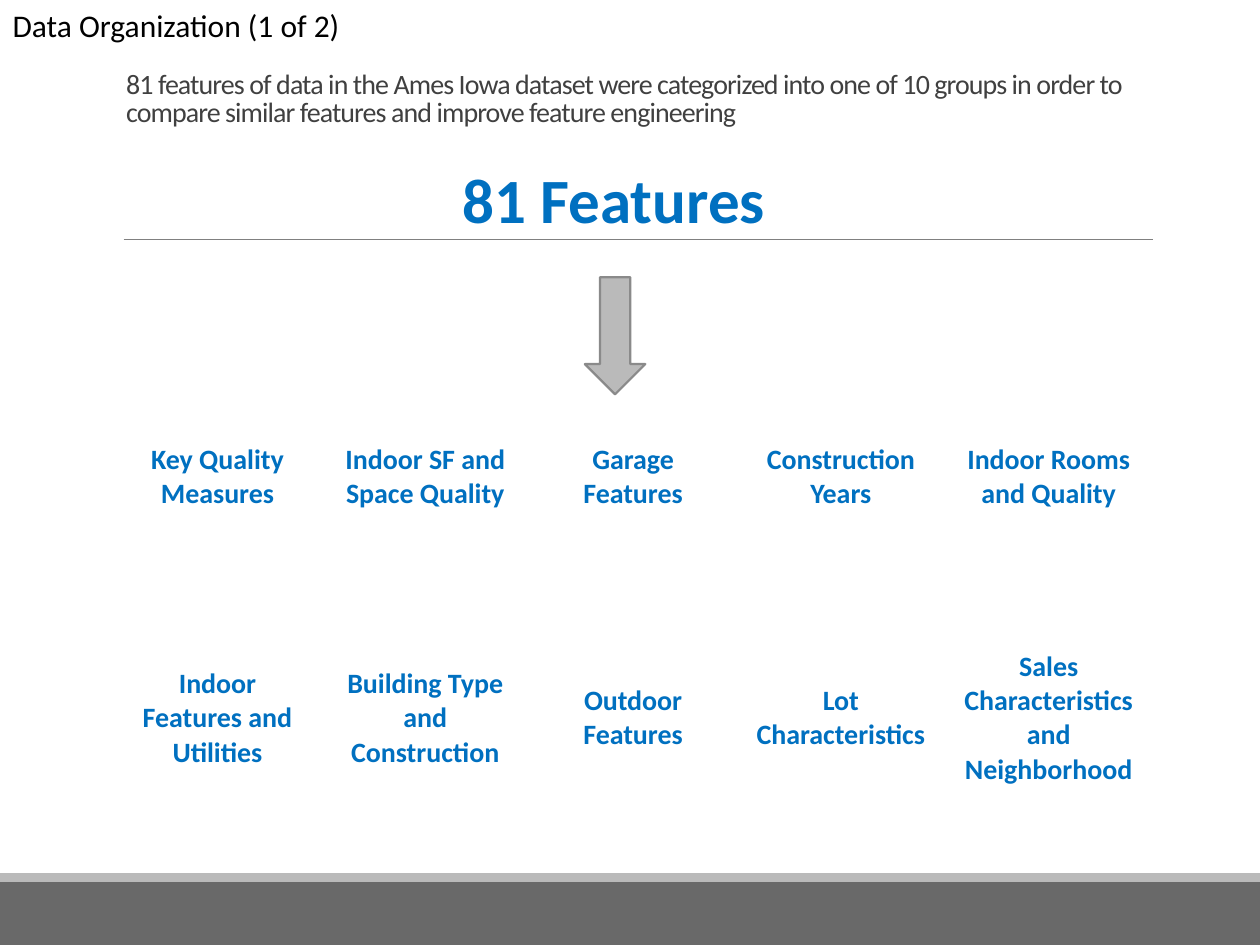
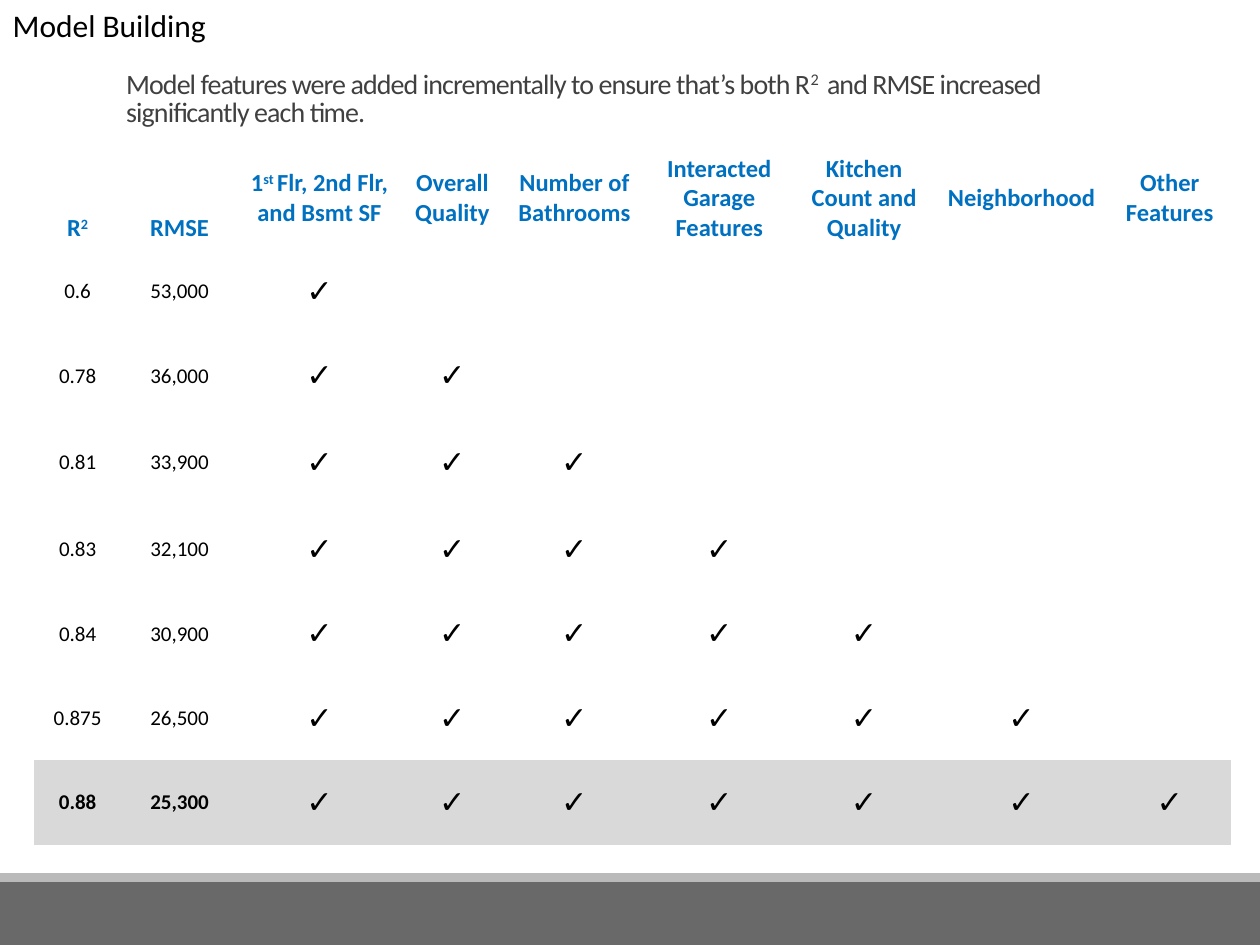
from dataclasses import dataclass

from lxml import etree
from pptx import Presentation, util as u
from pptx.dml.color import RGBColor
from pptx.enum import shapes, text
from pptx.oxml.ns import qn


@dataclass(frozen=True)
class Theme:
    font: str = "Calibri"
    black: str = "000000"
    body: str = "404040"
    accent: str = "0070C0"
    white: str = "FFFFFF"
    highlight: str = "D9D9D9"
    band: str = "696969"
    strip: str = "BABABA"
    arrow_line: str = "8A8A8A"
    rule: str = "808080"
    hero_size: int = 36
    title_size: int = 18
    body_size: int = 16
    header_size: int = 14
    value_size: int = 12
    no_grid_style: str = "{2D5ABB26-0587-4C30-8999-92F81FD0307C}"


@dataclass(frozen=True)
class Box:
    left: float
    top: float
    width: float
    height: float

    def lengths(self):
        return [u.Cm(value) for value in (self.left, self.top, self.width, self.height)]


THEME = Theme()
PAGE = Box(0, 0, 25.4, 19.05)
TITLE = Box(0, 0, 25.4, 1.02)
SUMMARY = Box(2.29, 1.35, 20.95, 1.32)
FOOTER = Box(0, 17.6, 25.4, 1.45)
FEATURE_FLOW = Box(2.29, 3.12, 20.95, 12.82)
MODEL_TABLE = Box(0.69, 2.97, 24.12, 14.06)

FEATURE_GROUPS = [
    ["Key Quality Measures", "Indoor SF and Space Quality", "Garage Features",
     "Construction Years", "Indoor Rooms and Quality"],
    [""] * 5,
    ["Indoor Features and Utilities", "Building Type and Construction", "Outdoor Features",
     "Lot Characteristics", "Sales Characteristics and Neighborhood"],
]
MODEL_HEADERS = [
    "R^2", "RMSE", "1^st ^Flr, 2nd Flr,\nand Bsmt SF", "Overall Quality",
    "Number of Bathrooms", "Interacted Garage Features", "Kitchen Count and Quality",
    "Neighborhood", "Other Features",
]
MODEL_SCORES = [
    ("0.6", "53,000"), ("0.78", "36,000"), ("0.81", "33,900"), ("0.83", "32,100"),
    ("0.84", "30,900"), ("0.875", "26,500"), ("0.88", "25,300"),
]


def color(value):
    return RGBColor.from_string(value)


def write(frame, content, size, ink, bold=False, align=text.PP_ALIGN.LEFT):
    for index, line in enumerate(content.split("\n")):
        paragraph = frame.add_paragraph() if index else frame.paragraphs[0]
        paragraph.alignment = align
        paragraph.font.name = THEME.font
        paragraph.font.size = u.Pt(size)
        paragraph.font.bold = bold
        paragraph.font.color.rgb = color(ink)
        for position, piece in enumerate(line.split("^")):
            run = paragraph.add_run()
            run.text = piece
            if position % 2:
                run._r.get_or_add_rPr().set("baseline", "30000")


def place(shape, box):
    shape.left, shape.top, shape.width, shape.height = box.lengths()


def add_filled_shape(slide, kind, box, fill, line=None):
    shape = slide.shapes.add_shape(kind, *box.lengths())
    shape.shadow.inherit = False
    shape.fill.solid()
    shape.fill.fore_color.rgb = color(fill)
    if line:
        shape.line.color.rgb = color(line)
        shape.line.width = u.Pt(1.25)
    else:
        shape.line.fill.background()
    return shape


def add_rule(slide, left, right, top):
    rule = slide.shapes.add_connector(
        shapes.MSO_CONNECTOR.STRAIGHT, u.Cm(left), u.Cm(top), u.Cm(right), u.Cm(top))
    rule.line.color.rgb = color(THEME.rule)
    rule.line.width = u.Pt(0.5)
    etree.SubElement(rule._element.spPr, qn("a:effectLst"))
    return rule


def add_footer(slide, box):
    strip_height = 0.18
    strip = Box(box.left, box.top, box.width, strip_height)
    band = Box(box.left, box.top + strip_height, box.width, box.height - strip_height)
    rectangle = shapes.MSO_SHAPE.RECTANGLE
    return [add_filled_shape(slide, rectangle, band, THEME.band),
            add_filled_shape(slide, rectangle, strip, THEME.strip)]


def move_to_master(parts, master):
    for number, part in enumerate(parts):
        part._element.xpath(".//p:cNvPr")[0].set("id", str(100 + number))
        master.shapes._spTree.insert(2 + number, part._element)


def add_headed_slide(presentation, title, summary):
    slide = presentation.slides.add_slide(presentation.slide_layouts[1])
    heading, body = slide.shapes.title, slide.placeholders[1]
    place(heading, TITLE)
    place(body, SUMMARY)
    write(heading.text_frame, title, THEME.title_size, THEME.black)
    write(body.text_frame, summary, THEME.body_size, THEME.body)
    for shape in (heading, body):
        shape.text_frame.auto_size = text.MSO_AUTO_SIZE.NONE
        shape.text_frame.vertical_anchor = text.MSO_ANCHOR.MIDDLE
    paragraph = body.text_frame.paragraphs[0]
    paragraph.line_spacing = 0.85
    paragraph.space_before = u.Pt(0)
    properties = paragraph._p.get_or_add_pPr()
    properties.set("marL", "0")
    properties.set("indent", "0")
    bullet = etree.Element(qn("a:buNone"))
    properties.find(qn("a:defRPr")).addprevious(bullet)
    for run in paragraph.runs:
        run._r.get_or_add_rPr().set("spc", "-50")
    return slide


def add_plain_table(slide, box, widths, heights):
    table = slide.shapes.add_table(len(heights), len(widths), *box.lengths()).table
    table.first_row = table.horz_banding = False
    table._tbl.tblPr.find(qn("a:tableStyleId")).text = THEME.no_grid_style
    for column, width in zip(table.columns, widths):
        column.width = u.Cm(width)
    for row, height in zip(table.rows, heights):
        row.height = u.Cm(height)
    return table


def fill_cell(cell, content, size, ink, bold, fill=THEME.white, anchor=text.MSO_ANCHOR.MIDDLE):
    cell.fill.solid()
    cell.fill.fore_color.rgb = color(fill)
    cell.vertical_anchor = anchor
    if content:
        write(cell.text_frame, content, size, ink, bold, text.PP_ALIGN.CENTER)


def add_feature_flow(slide, box):
    groups = Box(box.left, box.top + 5.01, box.width, box.height - 5.01)
    table = add_plain_table(slide, groups, [box.width / 5] * 5, [2.97, 1.87, 2.97])
    for row, names in zip(table.rows, FEATURE_GROUPS):
        for cell, name in zip(row.cells, names):
            fill_cell(cell, name, THEME.body_size, THEME.accent, True)

    hero_box = Box(box.left + 6.75, box.top, 6.68, 1.8)
    hero = slide.shapes.add_textbox(*hero_box.lengths())
    hero.text_frame.word_wrap = False
    write(hero.text_frame, "81 Features", THEME.hero_size, THEME.accent, True,
          text.PP_ALIGN.CENTER)

    arrow = Box(box.left + 9.5, box.top + 2.47, 1.22, 2.36)
    add_filled_shape(slide, shapes.MSO_SHAPE.DOWN_ARROW, arrow, THEME.strip, THEME.arrow_line)


def add_model_table(slide, box):
    widths = [1.75, 2.36, 3.28, 2.08, 2.84, 3, 2.84, 3.51, 2.46]
    heights = [2.06, 1.7, 1.7, 1.8, 1.7, 1.7, 1.7, 1.7]
    table = add_plain_table(slide, box, widths, heights)
    for column, header in enumerate(MODEL_HEADERS):
        anchor = text.MSO_ANCHOR.BOTTOM if column < 2 else text.MSO_ANCHOR.MIDDLE
        fill_cell(table.cell(0, column), header, THEME.header_size, THEME.accent, True,
                  anchor=anchor)
    for step, scores in enumerate(MODEL_SCORES, start=1):
        final = step == len(MODEL_SCORES)
        fill = THEME.highlight if final else THEME.white
        for column in range(len(widths)):
            cell = table.cell(step, column)
            if column < 2:
                fill_cell(cell, scores[column], THEME.value_size, THEME.black, final, fill)
            else:
                mark = "✓" if column - 2 < step else ""
                fill_cell(cell, mark, THEME.title_size, THEME.black, True, fill)


def main():
    presentation = Presentation()
    presentation.slide_width = u.Cm(PAGE.width)
    presentation.slide_height = u.Cm(PAGE.height)

    organization = add_headed_slide(
        presentation, "Data Organization (1 of 2)",
        "81 features of data in the Ames Iowa dataset were categorized into one of 10 groups "
        "in order to compare similar features and improve feature engineering")
    shared = add_footer(organization, FOOTER) + [add_rule(organization, 2.49, 23.24, 4.83)]
    move_to_master(shared, presentation.slide_master)
    add_feature_flow(organization, FEATURE_FLOW)

    building = add_headed_slide(
        presentation, "Model Building",
        "Model features were added incrementally to ensure that’s both R^2 ^ and RMSE "
        "increased significantly each time.")
    add_model_table(building, MODEL_TABLE)

    presentation.save("out.pptx")


if __name__ == "__main__":
    main()
